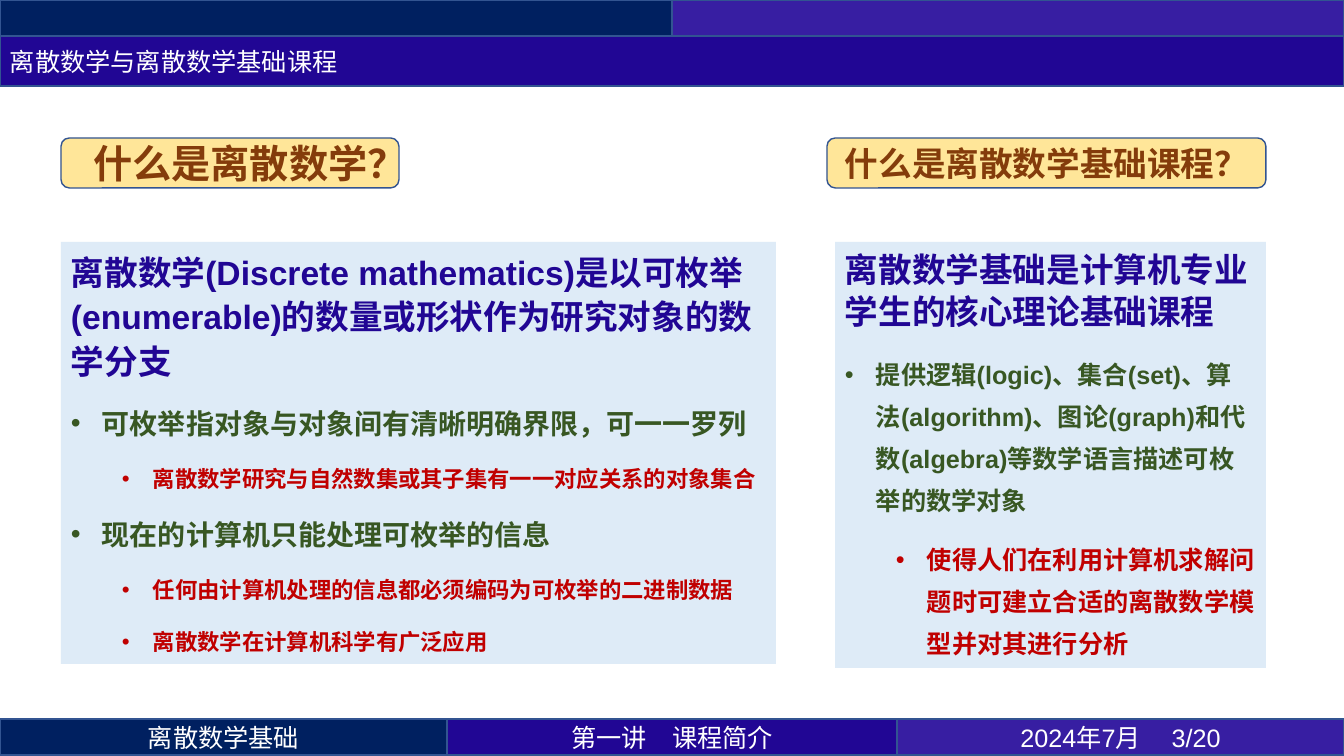
"""Build the slide that introduces discrete mathematics and its foundation course."""
from lxml.etree import SubElement
from pptx import Presentation
from pptx.dml.color import RGBColor
from pptx.enum.shapes import MSO_SHAPE
from pptx.enum.text import MSO_ANCHOR, PP_ALIGN
from pptx.oxml.ns import qn
from pptx.util import Pt

PX = 914400 / 100.8
WIDTH, HEIGHT = 1344, 756
LATIN, CJK = "Arial", "Noto Sans CJK SC"
COLORS = {
    "navy": "002060", "indigo": "210694", "violet": "371EA2", "border": "325491",
    "white": "FFFFFF", "cream": "FFE699", "brown": "843C0B", "pale": "DEEBF7",
    "green": "385723", "red": "C00000",
}

TITLE = "离散数学与离散数学基础课程"
TOP_BANDS = ["navy", "violet"]
FOOTER = [
    ("离散数学基础", "navy", 447),
    ("第一讲\t课程简介", "indigo", 450),
    ("2024年7月 \t3/20", "violet", 447),
]
HEADINGS = [
    ("什么是离散数学？", 28, 61, 338, 50),
    ("什么是离散数学基础课程？", 24, 827, 439, 10),
]
LEVEL_COLORS = ["indigo", "green", "red"]
LEVEL_INDENTS = [0, 31, 82]
HANGING = 31
PANELS = [
    {"box": (61, 242, 715, 422), "sizes": [24, 20, 16], "lead_spacing": 32,
     "bullet_spacing": None, "space_before": 12, "lines": [
        (0, "离散数学(Discrete mathematics)是以可枚举(enumerable)的数量或形状作为研究对象的数学分支"),
        (1, "可枚举指对象与对象间有清晰明确界限，可一一罗列"),
        (2, "离散数学研究与自然数集或其子集有一一对应关系的对象集合"),
        (1, "现在的计算机只能处理可枚举的信息"),
        (2, "任何由计算机处理的信息都必须编码为可枚举的二进制数据"),
        (2, "离散数学在计算机科学有广泛应用"),
    ]},
    {"box": (835, 242, 431, 426), "sizes": [24, 18, 18], "lead_spacing": 30,
     "bullet_spacing": 30, "space_before": 6, "lines": [
        (0, "离散数学基础是计算机专业学生的核心理论基础课程"),
        (1, "提供逻辑(logic)、集合(set)、算法(algorithm)、图论(graph)和代数(algebra)等数学语言描述可枚举的数学对象"),
        (2, "使得人们在利用计算机求解问题时可建立合适的离散数学模型并对其进行分析"),
    ]},
]


def px(length):
    return round(length * PX)


def color(name):
    return RGBColor.from_string(COLORS[name])


def add_box(slide, left, top, width, height, fill, outlined=True, kind=MSO_SHAPE.RECTANGLE):
    box = slide.shapes.add_shape(kind, px(left), px(top), px(width), px(height))
    box.shadow.inherit = False
    box.fill.solid()
    box.fill.fore_color.rgb = color(fill)
    if outlined:
        box.line.color.rgb = color("border")
        box.line.width = Pt(1)
    else:
        box.line.fill.background()
    box.text_frame.word_wrap = True
    return box


def add_text(paragraph, text, size, tint, bold=False):
    run = paragraph.add_run()
    run.text = text
    font = run.font
    font.size, font.bold = Pt(size), bold
    font.color.rgb = color(tint)
    has_latin = any(char.isascii() and char.isalnum() for char in text)
    font.name = LATIN if has_latin else CJK
    SubElement(font._element, qn("a:ea"), typeface=CJK)


def add_label(box, text, size, tint="white", align=PP_ALIGN.CENTER, bold=False):
    box.text_frame.vertical_anchor = MSO_ANCHOR.MIDDLE
    paragraph = box.text_frame.paragraphs[0]
    paragraph.alignment = align
    add_text(paragraph, text, size, tint, bold)


def add_bullet(paragraph, level):
    properties = paragraph._p.get_or_add_pPr()
    properties.set("marL", str(px(LEVEL_INDENTS[level])))
    properties.set("indent", str(-px(HANGING)))
    SubElement(properties, qn("a:buFont"), typeface=LATIN)
    SubElement(properties, qn("a:buChar"), char="•")


def add_panel(slide, panel):
    frame = add_box(slide, *panel["box"], "pale", outlined=False).text_frame
    frame.vertical_anchor = MSO_ANCHOR.TOP
    for index, (level, text) in enumerate(panel["lines"]):
        paragraph = frame.add_paragraph() if index else frame.paragraphs[0]
        paragraph.alignment = PP_ALIGN.LEFT
        paragraph.space_before = Pt(panel["space_before"] if index else 0)
        paragraph.space_after = Pt(6)
        spacing = panel["bullet_spacing"] if level else panel["lead_spacing"]
        if spacing:
            paragraph.line_spacing = Pt(spacing)
        if level:
            paragraph.level = level - 1
            add_bullet(paragraph, level)
        add_text(paragraph, text, panel["sizes"][level], LEVEL_COLORS[level], bold=True)


def main():
    deck = Presentation()
    deck.slide_width, deck.slide_height = px(WIDTH), px(HEIGHT)
    slide = deck.slides.add_slide(deck.slide_layouts[6])

    band_width = WIDTH // len(TOP_BANDS)
    for index, fill in enumerate(TOP_BANDS):
        add_box(slide, index * band_width, 0, band_width, 36, fill)

    left = 0
    for text, fill, width in FOOTER:
        add_label(add_box(slide, left, 719, width, 36, fill), text, 18)
        left += width

    add_label(add_box(slide, 0, 36, WIDTH, 50, "indigo"), TITLE, 18, align=PP_ALIGN.LEFT)

    for text, size, left, width, inset in HEADINGS:
        heading = add_box(slide, left, 138, width, 50, "cream", kind=MSO_SHAPE.ROUNDED_RECTANGLE)
        heading.text_frame.margin_left = px(inset)
        heading.text_frame.word_wrap = False
        add_label(heading, text, size, "brown", bold=True)

    for panel in PANELS:
        add_panel(slide, panel)

    deck.save("out.pptx")


if __name__ == "__main__":
    main()
